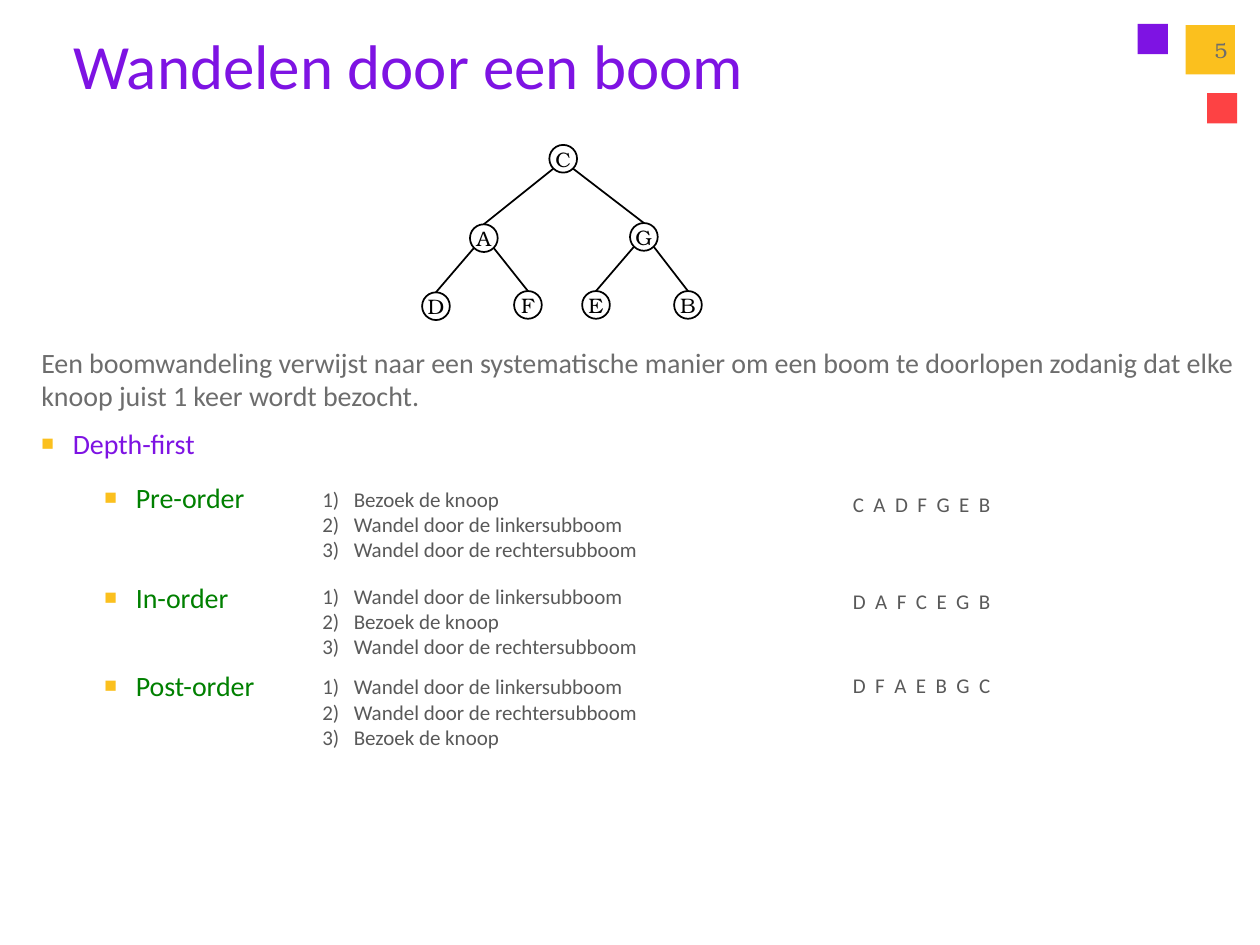
import pptx
import pptx.util
import pptx.dml.color
import pptx.enum.shapes
import pptx.enum.text
import pptx.oxml.ns
import lxml.etree

ALIGN = pptx.enum.text.PP_ALIGN
ANCHOR = pptx.enum.text.MSO_ANCHOR
SHAPE = pptx.enum.shapes.MSO_SHAPE
CELL = pptx.util.Inches(0.1)
PURPLE, YELLOW, RED, GREEN = "7E13E3", "FBC01E", "FD4244", "008000"
BLACK, GREY, DARK = "000000", "6D6D6D", "595959"
SANS, SERIF = "Calibri", "TeX Gyre Bonum"


def color(value):
    return pptx.dml.color.RGBColor.from_string(value)


def assign(target, values):
    for name, value in values.items():
        setattr(target, name, value)


class TreeSlide:
    """Draws the elements of one slide on a grid of 100 columns by 75 rows."""

    radius = 1.1
    reach = 0.8
    indent = 2.5

    def __init__(self, presentation):
        assign(presentation, {"slide_width": 100 * CELL, "slide_height": 75 * CELL})
        self.slide = presentation.slides.add_slide(presentation.slide_layouts[5])
        self.shapes = self.slide.shapes

    def grid(self, *lengths):
        return [int(length * CELL) for length in lengths]

    def add_run(self, paragraph, text, size, font, ink, spacing=0, before=0, align=ALIGN.LEFT):
        run = paragraph.add_run()
        run.text = text
        assign(run.font, {"size": pptx.util.Pt(size), "name": font})
        run.font.color.rgb = color(ink)
        if spacing:
            run._r.get_or_add_rPr().set("spc", str(spacing))
        assign(paragraph, {"space_before": pptx.util.Pt(before), "alignment": align})

    def bullet(self, paragraph, left, number=False):
        properties = paragraph._p.get_or_add_pPr()
        margin, hanging = self.grid(left, -self.indent)
        properties.set("marL", str(margin))
        properties.set("indent", str(hanging))
        if number:
            marks = [("buFont", {"typeface": SANS}), ("buAutoNum", {"type": "arabicParenR"})]
        else:
            marks = [("buClr", {}), ("buSzPct", {"val": "75000"}),
                     ("buFont", {"typeface": "Arial"}), ("buChar", {"char": "■"})]
        for tag, attributes in marks:
            mark = lxml.etree.SubElement(properties, pptx.oxml.ns.qn("a:" + tag), attributes)
            if tag == "buClr":
                lxml.etree.SubElement(mark, pptx.oxml.ns.qn("a:srgbClr"), {"val": YELLOW})

    def title(self, text, *box):
        shape = self.shapes.title
        assign(shape, dict(zip(("left", "top", "width", "height"), self.grid(*box))))
        shape.text_frame.vertical_anchor = ANCHOR.MIDDLE
        self.add_run(shape.text_frame.paragraphs[0], text, 36, SANS, PURPLE)

    def text(self, box, items, anchor=ANCHOR.TOP):
        frame = self.shapes.add_textbox(*self.grid(*box)).text_frame
        assign(frame, {"word_wrap": True, "vertical_anchor": anchor})
        for index, (values, marker) in enumerate(items):
            paragraph = frame.add_paragraph() if index else frame.paragraphs[0]
            self.add_run(paragraph, **values)
            if marker:
                self.bullet(paragraph, **marker)

    def square(self, left, top, side, fill):
        shape = self.shapes.add_shape(SHAPE.RECTANGLE, *self.grid(left, top, side, side))
        shape.shadow.inherit = False
        shape.fill.solid()
        shape.fill.fore_color.rgb = color(fill)
        shape.line.fill.background()

    def node(self, letter, x, y):
        side = 2 * self.radius
        shape = self.shapes.add_shape(
            SHAPE.OVAL, *self.grid(x - self.radius, y - self.radius, side, side))
        shape.shadow.inherit = False
        shape.fill.background()
        self.outline(shape.line)
        frame = shape.text_frame
        margins = {"margin_" + edge: 0 for edge in ("left", "top", "right", "bottom")}
        assign(frame, {**margins, "word_wrap": False, "vertical_anchor": ANCHOR.MIDDLE})
        self.add_run(frame.paragraphs[0], letter, 12, SERIF, BLACK, align=ALIGN.CENTER)

    def edge(self, parent, child):
        (x, y), (child_x, child_y) = parent, child
        side = self.reach if child_x > x else -self.reach
        line = self.shapes.add_connector(
            pptx.enum.shapes.MSO_CONNECTOR.STRAIGHT,
            *self.grid(x + side, y + self.reach, child_x, child_y - self.radius))
        self.outline(line.line)
        lxml.etree.SubElement(line._element.spPr, pptx.oxml.ns.qn("a:effectLst"))

    def outline(self, line):
        line.color.rgb = color(BLACK)
        line.width = pptx.util.Pt(1)


presentation = pptx.Presentation()
page = TreeSlide(presentation)

for square in [(90.3, 1.9, 2.4, PURPLE), (95.8, 7.4, 2.4, RED), (94.1, 2, 3.9, YELLOW)]:
    page.square(*square)
page.title("Wandelen door een boom", 4.8, 0.9, 82.6, 8.4)
number = {"text": "5", "size": 12, "font": SERIF, "ink": GREY, "align": ALIGN.RIGHT}
page.text((93.3, 2, 5.1, 4), [(number, None)], ANCHOR.MIDDLE)

nodes = {"C": (44.7, 12.6), "A": (38.4, 18.9), "G": (51.1, 18.8), "D": (34.6, 24.3),
         "F": (41.9, 24.2), "E": (47.3, 24.2), "B": (54.6, 24.2)}
for parent, children in {"C": "AG", "A": "DF", "G": "EB"}.items():
    for child in children:
        page.edge(nodes[parent], nodes[child])
for letter, center in nodes.items():
    page.node(letter, *center)

outline = [
    ("Een boomwandeling verwijst naar een systematische manier om een boom te doorlopen "
     "zodanig dat elke knoop juist 1 keer wordt bezocht.", GREY, 0, None),
    ("Depth-first", PURPLE, 8, 2.5),
    ("Pre-order", GREEN, 12, 7.5),
    ("In-order", GREEN, 37.5, 7.5),
    ("Post-order", GREEN, 31.5, 7.5),
]
page.text((2.3, 26.9, 97.7, 40.7), [
    ({"text": text, "size": 16, "font": SANS, "ink": ink, "before": before},
     {"left": left} if left else None)
    for text, ink, before, left in outline])

visit = "Bezoek de knoop"
left_walk, right_walk = (f"Wandel door de {side}subboom" for side in ("linker", "rechter"))
small = {"size": 12, "font": SANS, "ink": DARK}
walks = [
    (38.1, (visit, left_walk, right_walk), 38.5, "C A D F G E B"),
    (45.8, (left_walk, visit, right_walk), 46.2, "D A F C E G B"),
    (53, (left_walk, right_walk, visit), 52.9, "D F A E B G C"),
]
for steps_top, steps, order_top, order in walks:
    page.text((24.6, steps_top, 33.9, 7.1), [
        ({"text": step, **small}, {"left": 2.5, "number": True}) for step in steps])
    page.text((66.7, order_top, 18.1, 3), [({"text": order, "spacing": 135, **small}, None)])

presentation.save("out.pptx")
